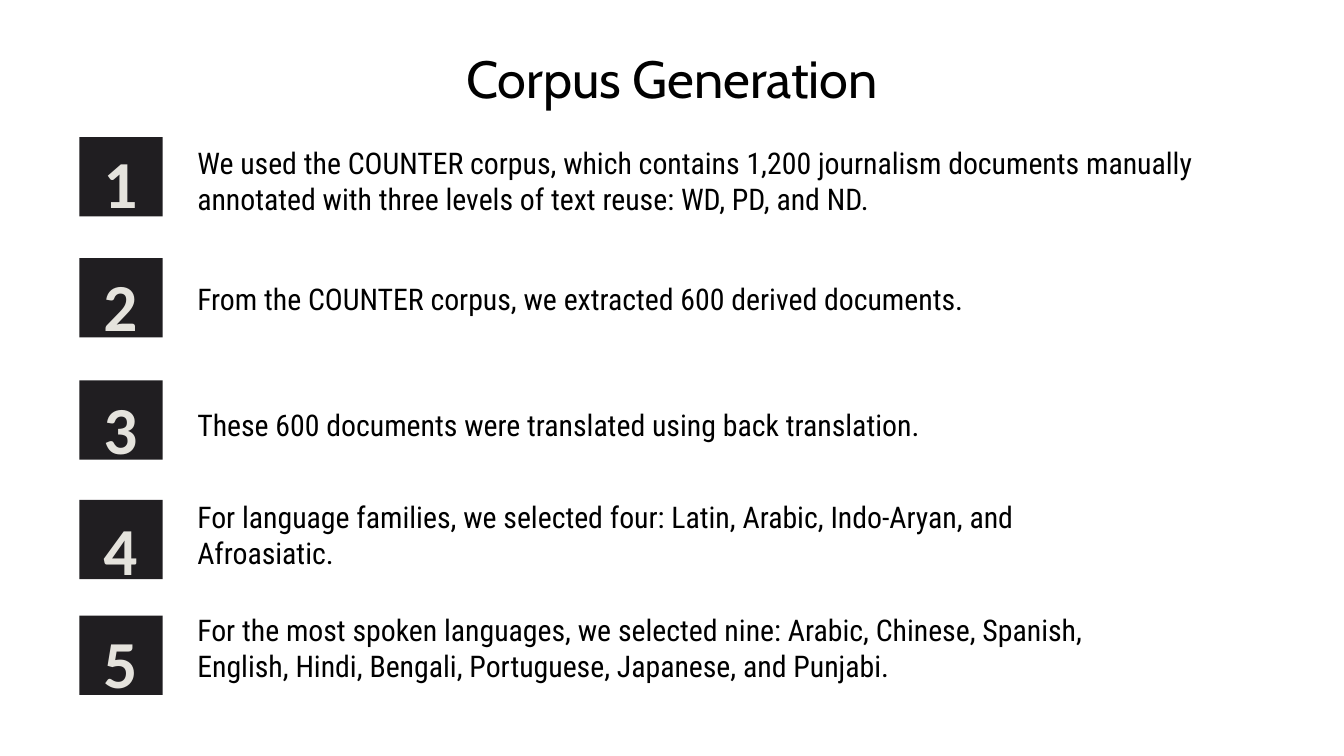
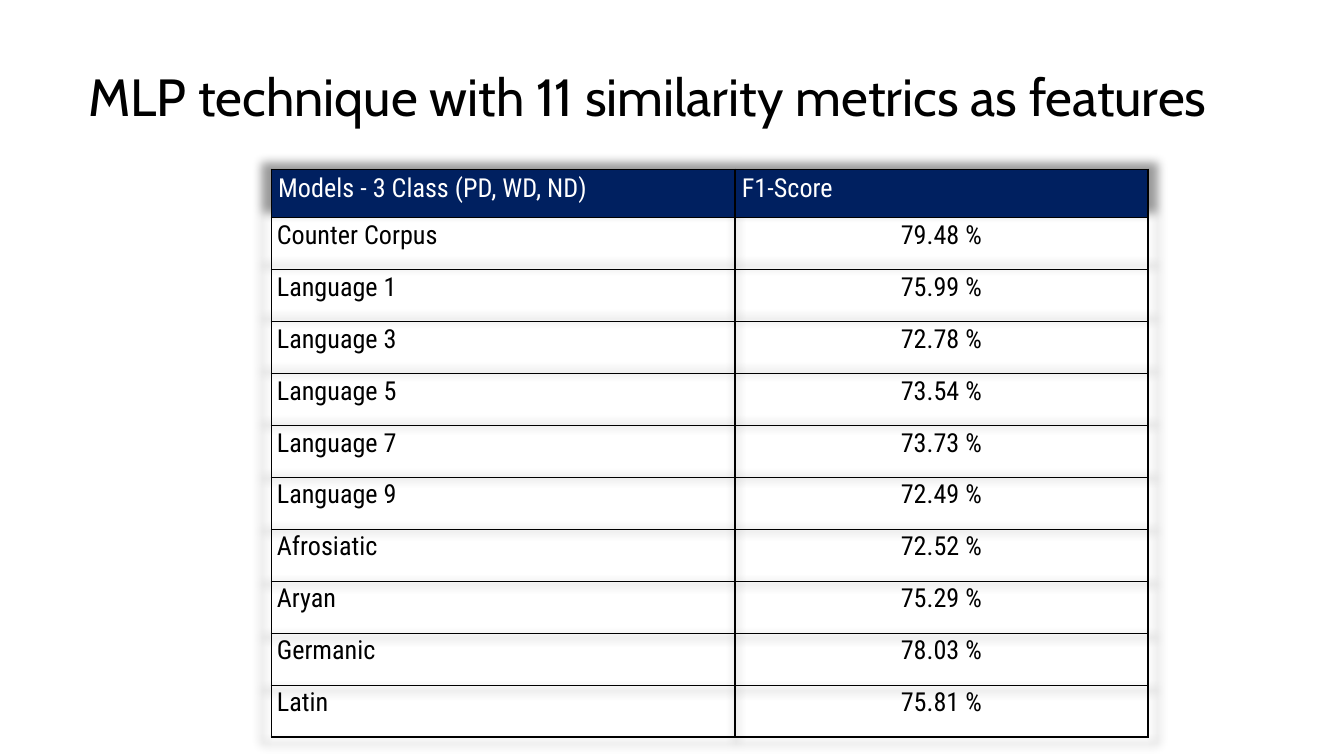
import pptx
import pptx.util
import pptx.dml.color
import pptx.enum.shapes
import pptx.enum.text
import pptx.oxml
import pptx.oxml.ns

Inches = pptx.util.Inches
Pt = pptx.util.Pt
ALIGN = pptx.enum.text.PP_ALIGN
ANCHOR = pptx.enum.text.MSO_ANCHOR
FIT = pptx.enum.text.MSO_AUTO_SIZE

COLORS = {
    "background": "FFFFFF",
    "text": "000000",
    "badge": "201E21",
    "number": "E5E3DD",
    "header": "002060",
    "header_text": "FFFFFF",
    "border": "000000",
}

# Shared text formats: font name, size and colour
TITLE = {"name": "Cabin", "size": Pt(28), "color": "text"}
BODY = {"name": "Roboto Condensed", "size": Pt(16), "color": "text"}
NUMBER = {"name": "Calibri", "size": Pt(36), "bold": True, "color": "number"}
CELL = {"name": "Roboto Condensed", "size": Pt(14), "bold": False, "color": "text"}
HEADER = {**CELL, "color": "header_text"}

# Badge top, number top, text top, text width, text height, text
STEPS = [
    (1.02, 0.93, 1.03, 8.04, 0.64,
     "We used the COUNTER corpus, which contains 1,200 journalism documents "
     "manually annotated with three levels of text reuse: WD, PD, and ND."),
    (1.92, 1.85, 2.04, 6.87, 0.37,
     "From the COUNTER corpus, we extracted 600 derived documents."),
    (2.83, 2.76, 2.98, 6.87, 0.37,
     "These 600 documents were translated using back translation."),
    (3.72, 3.66, 3.66, 6.4, 0.64,
     "For language families, we selected four: Latin, Arabic, Indo-Aryan, "
     "and Afroasiatic."),
    (4.58, 4.5, 4.5, 6.87, 0.64,
     "For the most spoken languages, we selected nine: Arabic, Chinese, Spanish, "
     "English, Hindi, Bengali, Portuguese, Japanese, and Punjabi."),
]

SCORES = [
    ("Models - 3 Class (PD, WD, ND)", "F1-Score"),
    ("Counter Corpus", "79.48 %"),
    ("Language 1", "75.99 %"),
    ("Language 3", "72.78 %"),
    ("Language 5", "73.54 %"),
    ("Language 7", "73.73 %"),
    ("Language 9", "72.49 %"),
    ("Afrosiatic", "72.52 %"),
    ("Aryan", "75.29 %"),
    ("Germanic", "78.03 %"),
    ("Latin", "75.81 %"),
]


def rgb(key):
    return pptx.dml.color.RGBColor.from_string(COLORS[key])


def set_attrs(obj, values):
    for name, value in values.items():
        setattr(obj, name, value)


def set_margins(obj, across, down):
    set_attrs(obj, {
        "margin_left": Inches(across), "margin_right": Inches(across),
        "margin_top": Inches(down), "margin_bottom": Inches(down),
    })


def write(tf, text, font, **paragraph):
    p = tf.paragraphs[0]
    set_attrs(p, paragraph)
    r = p.add_run()
    r.text = text
    for name, value in font.items():
        if name == "color":
            r.font.color.rgb = rgb(value)
        else:
            setattr(r.font, name, value)


def add_slide(prs, title, left, top, width, height):
    s = prs.slides.add_slide(prs.slide_layouts[5])
    s.background.fill.solid()
    s.background.fill.fore_color.rgb = rgb("background")
    sp = s.shapes.title
    set_attrs(sp, {"left": Inches(left), "top": Inches(top),
                   "width": Inches(width), "height": Inches(height)})
    tf = sp.text_frame
    set_attrs(tf, {"word_wrap": True, "auto_size": FIT.NONE,
                   "vertical_anchor": ANCHOR.MIDDLE})
    set_margins(tf, 0.1, 0.1)
    write(tf, title, TITLE, alignment=ALIGN.CENTER)
    return s


def add_text(s, text, font, left, top, width, height, margins=(0.1, 0.05), **paragraph):
    sp = s.shapes.add_textbox(Inches(left), Inches(top), Inches(width), Inches(height))
    tf = sp.text_frame
    set_attrs(tf, {"word_wrap": True, "auto_size": FIT.SHAPE_TO_FIT_TEXT})
    set_margins(tf, *margins)
    write(tf, text, font, **paragraph)


def add_badge(s, number, top, number_top):
    sp = s.shapes.add_shape(pptx.enum.shapes.MSO_SHAPE.RECTANGLE, Inches(0.59),
                            Inches(top), Inches(0.62), Inches(0.59))
    sp.shadow.inherit = False
    sp.fill.solid()
    sp.fill.fore_color.rgb = rgb("badge")
    sp.line.fill.background()
    add_text(s, str(number), NUMBER, 0.75, number_top, 0.29, 0.73, (0, 0),
             alignment=ALIGN.CENTER, line_spacing=1.2)


def add_borders(cell):
    tc_pr = cell._tc.get_or_add_tcPr()
    for side in ("lnL", "lnR", "lnT", "lnB"):
        tc_pr.append(pptx.oxml.parse_xml(
            f'<a:{side} {pptx.oxml.ns.nsdecls("a")} w="12700"><a:solidFill>'
            f'<a:srgbClr val="{COLORS["border"]}"/></a:solidFill></a:{side}>'))


def add_table_shadow(table):
    table._tbl.tblPr.insert(0, pptx.oxml.parse_xml(
        f'<a:effectLst {pptx.oxml.ns.nsdecls("a")}>'
        '<a:outerShdw blurRad="63500" sx="102000" sy="102000" algn="ctr" rotWithShape="0">'
        '<a:srgbClr val="000000"><a:alpha val="40000"/></a:srgbClr>'
        '</a:outerShdw></a:effectLst>'))


def fill_cell(cell, text, is_header, alignment):
    add_borders(cell)
    if is_header:
        cell.fill.solid()
        cell.fill.fore_color.rgb = rgb("header")
        set_margins(cell, 0.05, 0.03)
        write(cell.text_frame, text, HEADER, alignment=ALIGN.JUSTIFY, space_after=Pt(12))
    else:
        cell.fill.background()
        set_margins(cell, 0.04, 0)
        write(cell.text_frame, text, CELL, alignment=alignment, line_spacing=1.07)


def add_score_table(s, rows, left, top, widths, height, header_height):
    table = s.shapes.add_table(len(rows), len(widths), Inches(left), Inches(top),
                               Inches(sum(widths)), Inches(height)).table
    set_attrs(table, {"first_row": False, "horz_banding": False})
    add_table_shadow(table)
    for column, width in zip(table.columns, widths):
        column.width = Inches(width)
    body_height = (height - header_height) / (len(rows) - 1)
    for i, row in enumerate(rows):
        table.rows[i].height = Inches(body_height if i else header_height)
        for j, text in enumerate(row):
            fill_cell(table.cell(i, j), text, i == 0, (ALIGN.LEFT, ALIGN.CENTER)[j])


def main():
    # Widescreen 16:9 slides
    prs = pptx.Presentation()
    prs.slide_width = Inches(10)
    prs.slide_height = Inches(10 * 9 / 16)

    # Numbered steps
    s = add_slide(prs, "Corpus Generation", 0.2, 0.31, 9.6, 0.53)
    for number, (top, number_top, text_top, width, height, text) in enumerate(STEPS, 1):
        add_badge(s, number, top, number_top)
        add_text(s, text, BODY, 1.37, text_top, width, height)

    # Score table
    s = add_slide(prs, "MLP technique with 11 similarity metrics as features",
                  0.24, 0.18, 9.15, 1.06)
    add_score_table(s, SCORES, 2.02, 1.26, (3.45, 3.07), 4.23, 0.36)

    prs.save("out.pptx")


if __name__ == "__main__":
    main()
